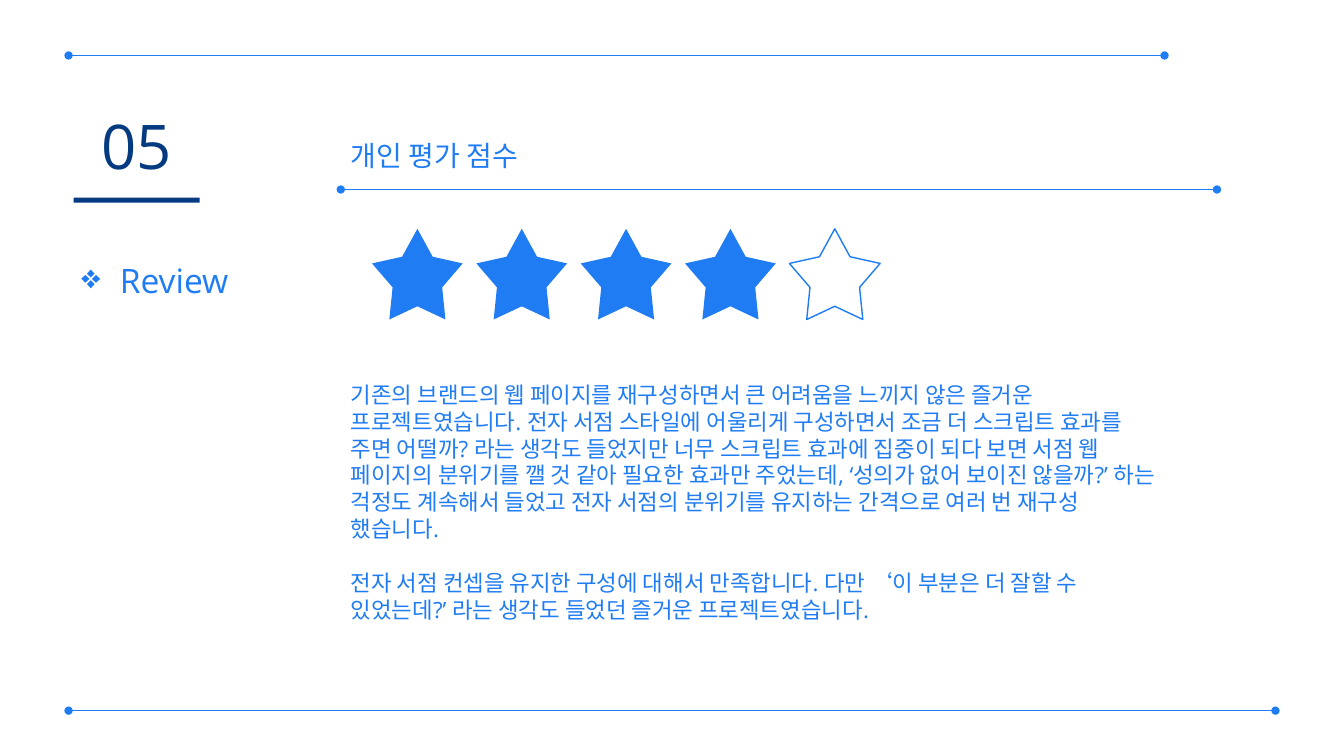
from dataclasses import dataclass

from pptx import Presentation
from pptx.dml.color import RGBColor
from pptx.enum import shapes, text
from pptx.oxml.ns import qn
from pptx.util import Inches, Pt
from lxml import etree


@dataclass(frozen=True)
class Theme:
    font: str = "Open Sans"
    blue: RGBColor = RGBColor(0x1F, 0x7C, 0xF3)
    navy: RGBColor = RGBColor(0x04, 0x3A, 0x7F)
    number: int = 44
    section: int = 24
    heading: int = 20
    body: int = 16
    rule: float = 0.5
    outline: float = 1


THEME = Theme()
REVIEW = [
    "기존의 브랜드의 웹 페이지를 재구성하면서 큰 어려움을 느끼지 않은 즐거운 프로젝트였습니다. "
    "전자 서점 스타일에 어울리게 구성하면서 조금 더 스크립트 효과를 주면 어떨까? 라는 생각도 "
    "들었지만 너무 스크립트 효과에 집중이 되다 보면 서점 웹 페이지의 분위기를 깰 것 같아 필요한 "
    "효과만 주었는데, ‘성의가 없어 보이진 않을까?’ 하는 걱정도 계속해서 들었고 전자 서점의 "
    "분위기를 유지하는 간격으로 여러 번 재구성 했습니다.",
    "전자 서점 컨셉을 유지한 구성에 대해서 만족합니다. 다만 ‘이 부분은 더 잘할 수 있었는데?’ "
    "라는 생각도 들었던 즐거운 프로젝트였습니다.",
]


def place(sp, x, y, w, h):
    box = {"left": x, "top": y, "width": w, "height": h}
    for name, value in box.items():
        setattr(sp, name, Inches(value))


def write(sp, paragraphs, size, color, align=text.PP_ALIGN.LEFT, gap=0, bullet=None):
    """Fill a text shape; gap is the space in points between paragraphs."""
    tf = sp.text_frame
    frame = {"word_wrap": True, "auto_size": text.MSO_AUTO_SIZE.NONE,
             "vertical_anchor": text.MSO_ANCHOR.TOP}
    for name, value in frame.items():
        setattr(tf, name, value)
    for i, words in enumerate(paragraphs):
        p = tf.paragraphs[0] if i == 0 else tf.add_paragraph()
        p.alignment = align
        p.space_before = Pt(gap if i else 0)
        r = p.add_run()
        r.text = words
        for name, value in {"name": THEME.font, "size": Pt(size)}.items():
            setattr(r.font, name, value)
        r.font.color.rgb = color
        pPr = p._p.get_or_add_pPr()
        hang = Inches(0.38) if bullet else 0
        pPr.set("marL", str(hang))
        pPr.set("indent", str(-hang))
        if bullet:
            etree.SubElement(pPr, qn("a:buChar"), char=bullet)
        else:
            etree.SubElement(pPr, qn("a:buNone"))


def add_rule(s, x, y, w):
    """Draw a thin horizontal line with a dot at each end."""
    line = s.shapes.add_connector(shapes.MSO_CONNECTOR.STRAIGHT,
                                  Inches(x), Inches(y), Inches(x + w), Inches(y))
    line.line.color.rgb = THEME.blue
    line.line.width = Pt(THEME.rule)
    ln = line.line._get_or_add_ln()
    for end in ("a:headEnd", "a:tailEnd"):
        etree.SubElement(ln, qn(end), type="oval")
    etree.SubElement(line._element.spPr, qn("a:effectLst"))


def add_plain_shape(s, kind, x, y, w, h, fill=None, line=None):
    sp = s.shapes.add_shape(kind, Inches(x), Inches(y), Inches(w), Inches(h))
    sp.shadow.inherit = False
    if fill is None:
        sp.fill.background()
    else:
        sp.fill.solid()
        sp.fill.fore_color.rgb = fill
    if line is None:
        sp.line.fill.background()
    else:
        sp.line.color.rgb = line
        sp.line.width = Pt(THEME.outline)
    return sp


def add_section_label(s, x, y, number, name):
    number_box = s.shapes.add_textbox(0, 0, 0, 0)
    place(number_box, x + 0.07, y, 1.11, 0.84)
    write(number_box, [number], THEME.number, THEME.navy, text.PP_ALIGN.CENTER)
    add_plain_shape(s, shapes.MSO_SHAPE.RECTANGLE, x, y + 0.94, 1.25, 0.05, THEME.navy)
    name_box = s.shapes.add_textbox(0, 0, 0, 0)
    place(name_box, x - 0.02, y + 1.51, 2.06, 0.5)
    write(name_box, [name], THEME.section, THEME.blue, bullet="❖")


def add_rating(s, x, y, score, best=5, size=0.9, pitch=1.035):
    """Draw a row of stars, the first ones filled up to the score."""
    for i in range(best):
        look = {"fill": THEME.blue} if i < score else {"line": THEME.blue}
        star = add_plain_shape(s, shapes.MSO_SHAPE.STAR_5_POINT,
                               x + i * pitch, y, size, size, **look)
        star.adjustments[0] = 0.273


def add_review(s, x, y, heading, score, paragraphs):
    title, body = s.shapes.title, s.placeholders[1]
    place(title, x, y, 5.54, 0.44)
    write(title, [heading], THEME.heading, THEME.blue)
    add_rule(s, x, y + 0.56, 8.69)
    add_rating(s, x + 0.31, y + 0.95, score)
    place(body, x, y + 2.41, 8.22, 2.26)
    write(body, paragraphs, THEME.body, THEME.blue, gap=19.2)


def main():
    prs = Presentation()
    prs.slide_width, prs.slide_height = Inches(13.33), Inches(7.5)
    s = prs.slides.add_slide(prs.slide_layouts[1])
    add_rule(s, 0.68, 0.55, 10.87)
    add_rule(s, 0.68, 7.05, 11.97)
    add_section_label(s, 0.73, 1.02, "05", "Review")
    add_review(s, 3.38, 1.32, "개인 평가 점수", 4, REVIEW)
    prs.save("out.pptx")


if __name__ == "__main__":
    main()
